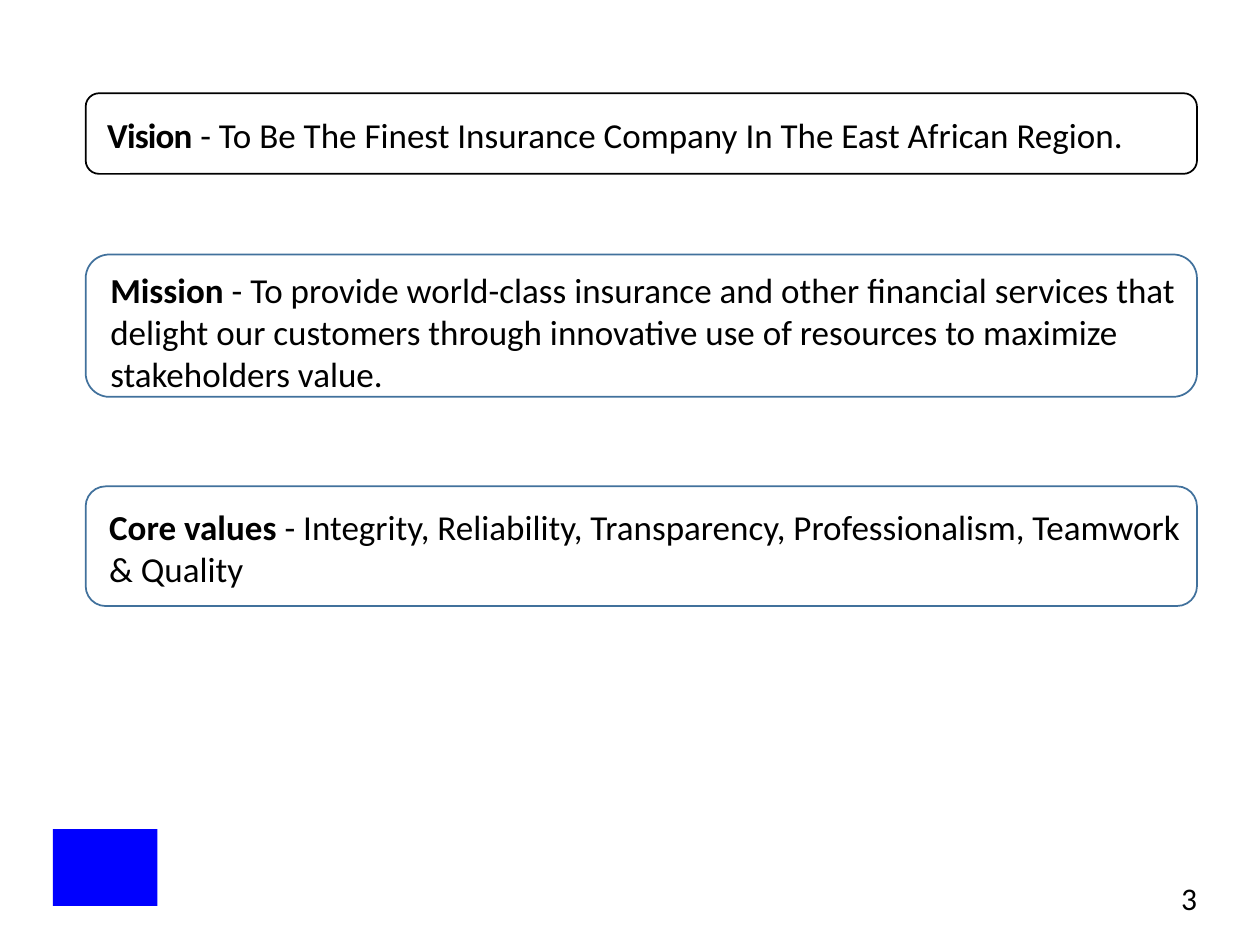
from pptx import Presentation
from pptx.dml.color import RGBColor
from pptx.enum.shapes import MSO_SHAPE
from pptx.enum.text import MSO_ANCHOR, PP_ALIGN
from pptx.util import Inches, Pt

BLACK = RGBColor(0x00, 0x00, 0x00)
STEEL = RGBColor(0x41, 0x71, 0x9C)
BLUE = RGBColor(0x00, 0x00, 0xFF)

ROUNDED = MSO_SHAPE.ROUNDED_RECTANGLE
RECTANGLE = MSO_SHAPE.RECTANGLE
LEFT, RIGHT = PP_ALIGN.LEFT, PP_ALIGN.RIGHT
MIDDLE = MSO_ANCHOR.MIDDLE

CARD_LEFT, CARD_WIDTH = 0.68, 8.82
TEXT_INSET = 0.14

# top, height, top inset, outline, heading, heading spacing, statement
CARDS = [
    (0.74, 0.64, 0.02, BLACK, "Vision", -50,
     " - To Be The Finest Insurance Company In The East African Region."),
    (2.02, 1.13, 0.09, STEEL, "Mission ", 0,
     "- To provide world-class insurance and other financial services that "
     "delight our customers through innovative use of resources to maximize "
     "stakeholders value."),
    (3.86, 0.95, 0.02, STEEL, "Core values ", 0,
     "- Integrity, Reliability, Transparency, Professionalism, Teamwork "
     "& Quality"),
]


class StatementSlide:
    """Holds the text style and the slide being filled."""

    font = "Calibri"
    color = BLACK

    def __init__(self, slide):
        self.shapes = slide.shapes

    def add_span(self, para, text, size, bold=False, spacing=0):
        span = para.add_run()
        span.text = text
        span.font.name = self.font
        span.font.size = Pt(size)
        span.font.bold = bold
        span.font.color.rgb = self.color
        if spacing:
            span.font._element.set("spc", str(spacing))

    def set_frame(self, frame, left=0, top=0):
        frame.word_wrap = True
        frame.margin_left, frame.margin_top = Inches(left), Inches(top)
        frame.margin_right = frame.margin_bottom = 0

    def add_card(self, top, height, inset, outline, heading, spacing, statement):
        card = self.shapes.add_shape(
            ROUNDED, Inches(CARD_LEFT), Inches(top), Inches(CARD_WIDTH), Inches(height))
        card.shadow.inherit = False
        card.fill.background()
        card.line.color.rgb = outline
        card.line.width = Pt(1)
        frame = card.text_frame
        self.set_frame(frame, TEXT_INSET, inset)
        frame.vertical_anchor = MIDDLE
        para = frame.paragraphs[0]
        para.alignment = LEFT
        self.add_span(para, heading, 20, bold=True, spacing=spacing)
        self.add_span(para, statement, 20)

    def add_page_number(self, number):
        box = self.shapes.add_textbox(Inches(7.2), Inches(6.98), Inches(2.3), Inches(0.31))
        self.set_frame(box.text_frame)
        para = box.text_frame.paragraphs[0]
        para.alignment = RIGHT
        self.add_span(para, str(number), 18)

    def add_emblem(self):
        emblem = self.shapes.add_shape(
            RECTANGLE, Inches(0.42), Inches(6.58), Inches(0.83), Inches(0.61))
        emblem.shadow.inherit = False
        emblem.fill.solid()
        emblem.fill.fore_color.rgb = BLUE
        emblem.line.fill.background()


def main():
    deck = Presentation()
    deck.slide_width, deck.slide_height = Inches(10), Inches(7.5)
    page = StatementSlide(deck.slides.add_slide(deck.slide_layouts[6]))

    # Footer: page number and plain emblem
    page.add_page_number(3)
    page.add_emblem()

    # Vision, mission and core values
    for card in CARDS:
        page.add_card(*card)

    deck.save("out.pptx")


if __name__ == "__main__":
    main()
